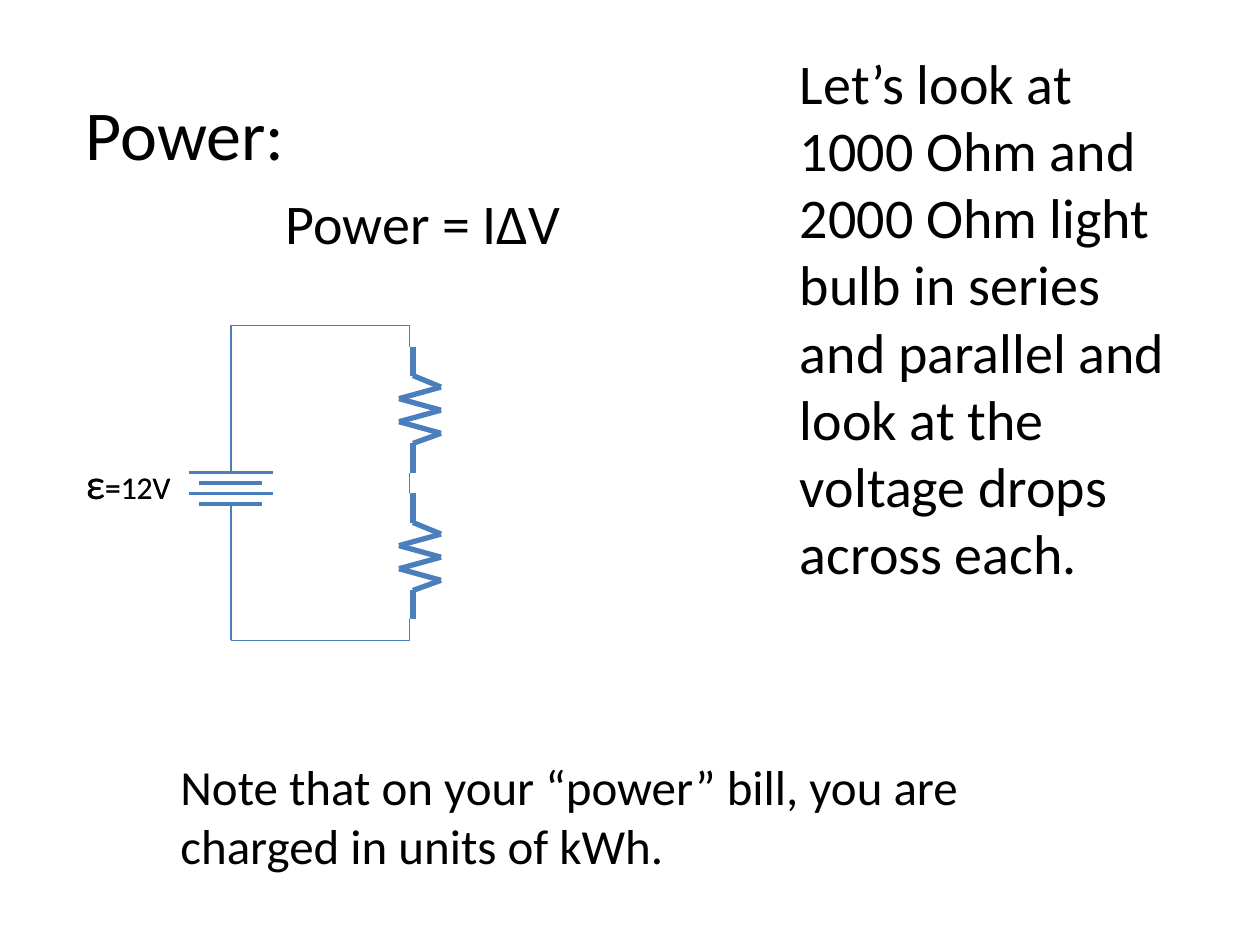
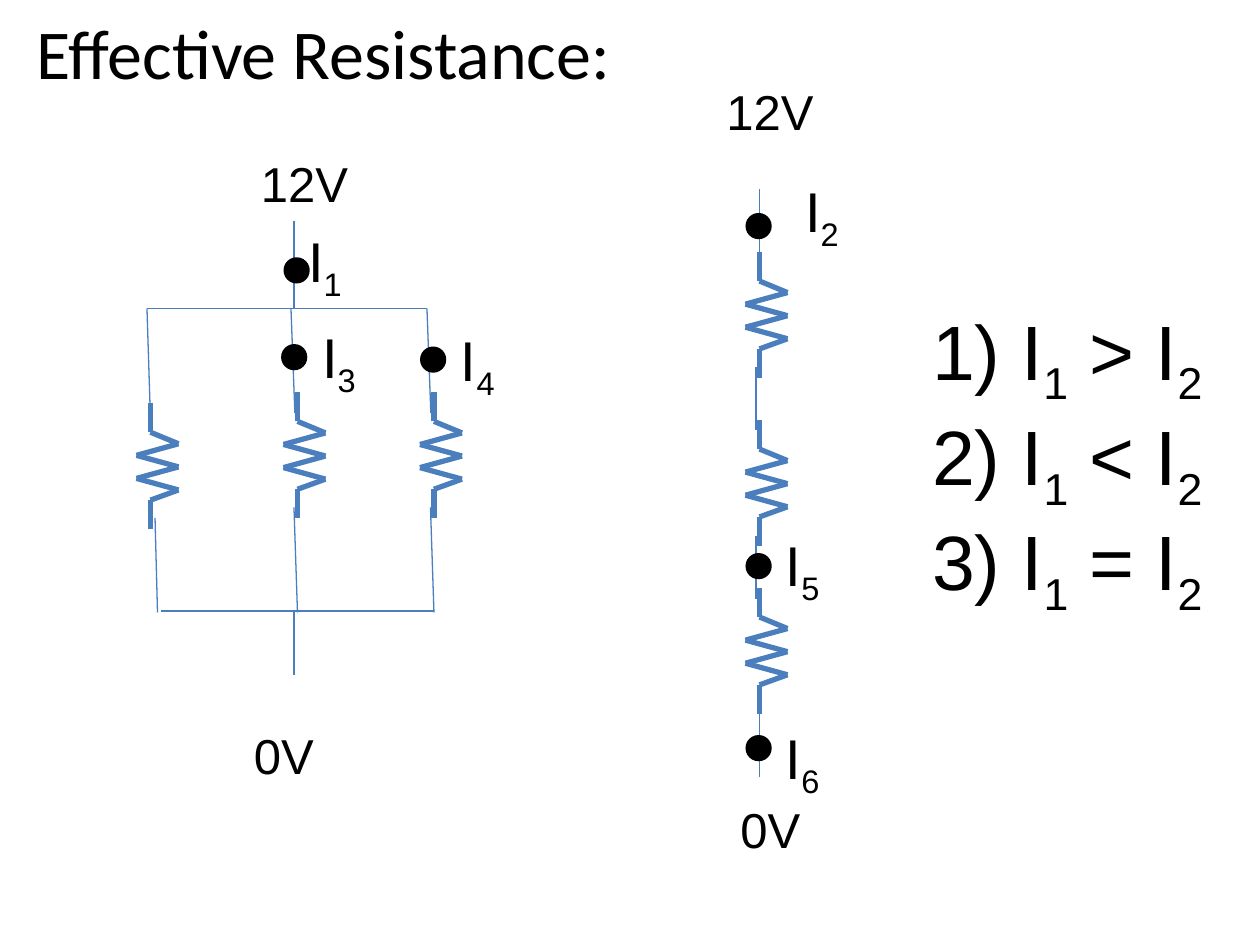
from dataclasses import dataclass
from itertools import pairwise

from lxml import etree
from pptx import Presentation
from pptx.dml.color import RGBColor
from pptx.enum import shapes, text
from pptx.oxml import ns
from pptx.util import Pt


@dataclass(frozen=True)
class Theme:
    ink: RGBColor = RGBColor(0, 0, 0)
    wire: RGBColor = RGBColor(0x4B, 0x7E, 0xBC)
    sans: str = "Calibri"
    plain: str = "Arial"
    title: int = 40
    body: int = 32
    note: int = 28
    answer: int = 44
    emf: int = 24
    volt: int = 18
    thin: float = 0.75
    plate: float = 2.25
    thick: float = 3


T = Theme()

TITLES = [
    ("Power:", (42, 48, 130, 55.7)),
    ("Effective Resistance:", (14, 2, 346, 55.7)),
]
TEXTS = [
    ("Power = IΔV", (156, 104, 175, 46), T.body, False),
    ("Note that on your “power” bill, you are charged in units of kWh.",
     (96, 429, 492, 75), T.note, True),
    ("Let’s look at 1000 Ohm and 2000 Ohm light bulb in series and parallel "
     "and look at the voltage drops across each.",
     (450, 24, 228, 317.5), T.body, True),
]
EMF = "ε~=12V"
CELLS = [(T.thin, 222, 336), (T.plate, 186, 366)]
LOOP = [
    (132, 186, 234, 186), (132, 366, 234, 366), (234, 186, 234, 198),
    (234, 270, 234, 282), (234, 354, 234, 366), (132, 288, 132, 300),
]
BULBS = [(228, 198), (228, 282)]

SERIES = [(426, 144 + 96 * i) for i in range(3)]
BRANCH = [(78, 230.4), (162, 224.2), (240, 224.2)]
WIRES = [
    (434, 108, 434, 144), (432, 210, 432, 246), (432, 306, 432, 342),
    (434, 408, 434, 444), (168, 350, 168, 386), (92, 349.2, 248, 349.2),
    (88.6, 296, 90, 350), (168, 290, 170, 350), (246, 290, 248, 350),
    (84, 176.4, 85.7, 230.4), (166.3, 176.4, 168.5, 236),
    (244, 176.4, 246.2, 236), (84, 176.4, 244, 176.4), (168, 126, 168, 176.4),
]
VOLTS = [
    ("12V", 142, 84.2), ("12V", 408, 43.2),
    ("0V", 138, 411), ("0V", 416, 453.6),
]
AMPS = [
    ("I~1", (169, 126), (162, 147)), ("I~2", (453, 97.2), (426, 121.7)),
    ("I~3", (177, 180.7), (160.6, 196.6)), ("I~4", (256.3, 182.2), (240, 198)),
    ("I~5", (442, 299.5), (426, 316)), ("I~6", (442, 409.7), (426, 420)),
]
ANSWERS = [" I~1~ > I~2", "2) I~1~ < I~2", "3) I~1~ = I~2"]


def line(home, ends, width=T.thin):
    con = home.add_connector(shapes.MSO_CONNECTOR.STRAIGHT, *map(Pt, ends))
    con.line.color.rgb = T.wire
    con.line.width = Pt(width)
    etree.SubElement(con._element.spPr, ns.qn("a:effectLst"))


def label(home, words, box, size, face=T.sans, wrap=False, low=None):
    shape = home.add_textbox(*map(Pt, box))
    frame = shape.text_frame
    frame.word_wrap = wrap
    frame.auto_size = text.MSO_AUTO_SIZE.SHAPE_TO_FIT_TEXT
    rows = [words] if isinstance(words, str) else words
    for i, row in enumerate(rows):
        para = frame.add_paragraph() if i else frame.paragraphs[0]
        for j, part in enumerate(row.split("~")):
            run = para.add_run()
            run.text = part
            font = run.font
            font.name, font.size, font.color.rgb = face, Pt(size), T.ink
            if j % 2 and low:
                font.size = Pt(low)
            elif j % 2:
                run._r.get_or_add_rPr().set("baseline", "-25000")
    return frame


def bulb(slide, left, top):
    group = slide.shapes.add_group_shape()
    xs = [8, 8, 24, 0, 24, 0, 24, 8, 8]
    ys = [0, *[16.6 + 6.6 * i for i in range(6)], 55.4, 72]
    spots = [(left + x, top + y) for x, y in zip(xs, ys)]
    for a, b in pairwise(spots):
        line(group.shapes, (*a, *b), T.thick)


def cell(slide, width, top, base):
    home = slide.shapes.add_group_shape().shapes
    mid, high, gap = 132, 270, 6
    low = high + 3 * gap
    line(home, (mid, top, mid, high))
    for i in range(4):
        half, y = (24, 18)[i % 2], high + gap * i
        line(home, (mid - half, y, mid + half, y), width)
    line(home, (mid, low, mid, base))
    label(home, EMF, (42, 258, 96, 36), T.emf, wrap=True, low=T.volt)


def dot(slide, left, top):
    mark = slide.shapes.add_shape(
        shapes.MSO_SHAPE.OVAL, *map(Pt, (left, top, 15, 15)))
    mark.shadow.inherit = False
    mark.fill.solid()
    mark.fill.fore_color.rgb = T.ink
    mark.line.fill.background()


def start(deck, title):
    slide = deck.slides.add_slide(deck.slide_layouts[6])
    words, box = title
    label(slide.shapes, words, box, T.title)
    return slide


def power(deck):
    slide = start(deck, TITLES[0])
    for words, box, size, wrap in TEXTS:
        label(slide.shapes, words, box, size, wrap=wrap)
    for item in CELLS:
        cell(slide, *item)
    for ends in LOOP:
        line(slide.shapes, ends)
    for spot in BULBS:
        bulb(slide, *spot)


def effect(deck):
    slide = start(deck, TITLES[1])
    for spot in SERIES + BRANCH:
        bulb(slide, *spot)
    for ends in WIRES:
        line(slide.shapes, ends)
    for words, left, top in VOLTS:
        wide = 65 if len(words) == 3 else 49
        label(slide.shapes, words, (left, top, wide, 41), T.note, T.plain)
    for words, spot, mark in AMPS:
        label(slide.shapes, words, (*spot, 35.3, 46), T.body, T.plain)
        dot(slide, *mark)
    frame = label(slide.shapes, ANSWERS, (525.6, 170, 175, 220),
                  T.answer, T.plain)
    props = frame.paragraphs[0]._p.get_or_add_pPr()
    props.set("marL", str(Pt(27)))
    props.set("indent", str(-Pt(27)))
    face = etree.SubElement(props, ns.qn("a:buFont"))
    face.set("typeface", T.plain)
    count = etree.SubElement(props, ns.qn("a:buAutoNum"))
    count.set("type", "arabicParenR")


deck = Presentation()
deck.slide_width, deck.slide_height = Pt(720), Pt(540)
power(deck)
effect(deck)
deck.save("out.pptx")
